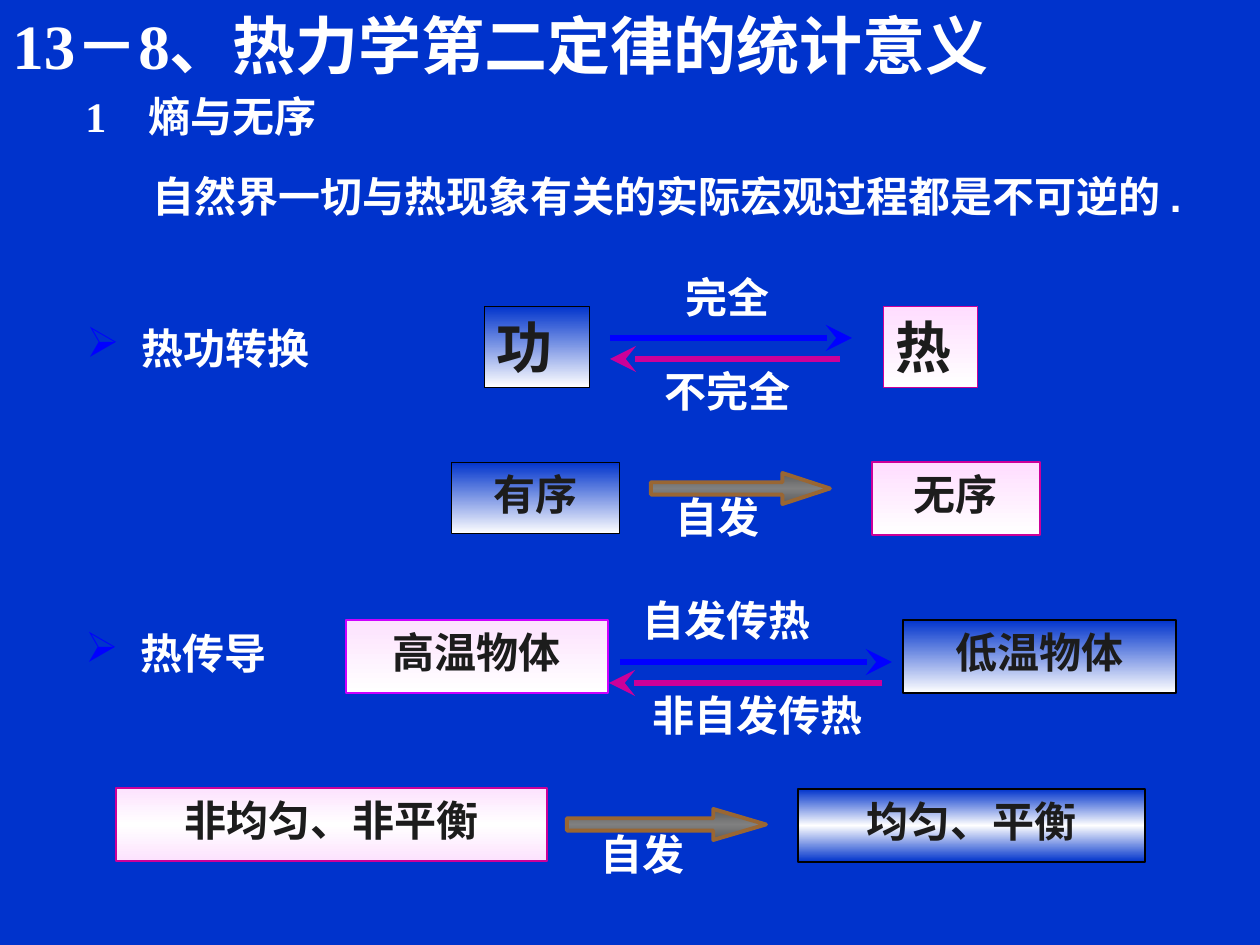
from lxml.etree import SubElement
from copy import deepcopy
from pptx import Presentation
from pptx.dml.color import RGBColor
from pptx.enum.shapes import MSO_CONNECTOR, MSO_SHAPE
from pptx.enum.text import MSO_ANCHOR, PP_ALIGN
from pptx.oxml.ns import qn
from pptx.util import Pt

PX = 914400 / 126


class Theme:
    background = "0033CC"
    white = "FFFFFF"
    ink = "1C1C1C"
    black = "000000"
    blue = "0000FF"
    magenta = "CC0099"
    violet = "CC00FF"
    bronze = "996633"
    pink_fade = ["FFDDFF", "FFFFFF"]
    rose_fade = ["FDE2FE", "FFFFFF"]
    rose_band = ["FDE2FE", "FFFFFF", "FDE2FE"]
    blue_fade = ["0033CC", "FFFFFF"]
    blue_band = ["0033CC", "FFFFFF", "0033CC"]
    gray_band = ["5C5C5C", "808080", "5C5C5C"]
    sans = "Arial"
    serif = "Times New Roman"
    title = 36
    large = 32
    body = 24


def paint(shape, colors, outline, width):
    shape.shadow.inherit = False
    shape.fill.gradient()
    shape.fill.gradient_angle = 270
    stop_list = shape._element.spPr.find(qn("a:gradFill")).find(qn("a:gsLst"))
    for _ in colors[2:]:
        stop_list.append(deepcopy(stop_list[-1]))
    for index, stop in enumerate(shape.fill.gradient_stops):
        stop.position = index / (len(colors) - 1)
        stop.color.rgb = RGBColor.from_string(colors[index])
    shape.line.color.rgb = RGBColor.from_string(outline)
    shape.line.width = Pt(width)


def add_text(text, box, size=Theme.body, font=Theme.sans, color=Theme.white,
             align=PP_ALIGN.LEFT, fade=None, outline=None, width=0.75,
             bullet=False, indent=0, tab=0):
    frame = [round(value * PX) for value in box]
    if fade:
        shape = slide.shapes.add_shape(MSO_SHAPE.RECTANGLE, *frame)
        paint(shape, fade, outline, width)
    else:
        shape = slide.shapes.add_textbox(*frame)
    shape.text_frame.word_wrap = True
    shape.text_frame.vertical_anchor = MSO_ANCHOR.TOP
    paragraph = shape.text_frame.paragraphs[0]
    paragraph.alignment = align
    run = paragraph.add_run()
    run.text = text
    run.font.size = Pt(size)
    run.font.name = font
    run.font.bold = True
    run.font.color.rgb = RGBColor.from_string(color)
    properties = paragraph._p.get_or_add_pPr()
    properties.set("indent", str(round(indent * PX)))
    if bullet:
        properties.set("marL", str(round(-indent * PX)))
        bullet_color = SubElement(properties, qn("a:buClr"))
        SubElement(bullet_color, qn("a:srgbClr"), val=Theme.blue)
        SubElement(properties, qn("a:buChar"), char="➢")
    if tab:
        tabs = SubElement(properties, qn("a:tabLst"))
        SubElement(tabs, qn("a:tab"), pos=str(round(tab * PX)), algn="l")


presentation = Presentation()
presentation.slide_width = round(1260 * PX)
presentation.slide_height = round(945 * PX)
slide = presentation.slides.add_slide(presentation.slide_layouts[6])
slide.background.fill.solid()
slide.background.fill.fore_color.rgb = RGBColor.from_string(Theme.background)

add_text("13－8、热力学第二定律的统计意义", (0, 0, 1302, 88),
         size=Theme.title, font=Theme.serif, align=PP_ALIGN.JUSTIFY)
add_text("1\t熵与无序", (73, 84, 630, 63), font=Theme.serif, tab=61)
add_text("自然界一切与热现象有关的实际宏观过程都是不可逆的 .",
         (73, 164, 1144, 63), indent=67)

for text, box in [("热功转换", (74, 316, 651, 64)),
                  ("热传导", (73, 621, 420, 64))]:
    add_text(text, box, bullet=True, indent=-55)

for text, box, fade, outline in [
    ("功", (484, 306, 105, 81), Theme.blue_fade, Theme.black),
    ("热", (883, 306, 95, 81), Theme.pink_fade, Theme.magenta),
]:
    add_text(text, box, size=Theme.large, color=Theme.ink,
             fade=fade, outline=outline, width=0.5)

for text, box, fade, outline, width in [
    ("有序", (451, 462, 168, 72), Theme.blue_fade, Theme.black, 0.5),
    ("无序", (872, 462, 168, 73), Theme.pink_fade, Theme.magenta, 0.75),
    ("高温物体", (346, 620, 262, 73), Theme.rose_fade, Theme.violet, 0.75),
    ("低温物体", (903, 620, 273, 73), Theme.blue_fade, Theme.black, 0.75),
    ("非均匀、非平衡", (116, 788, 431, 73), Theme.rose_band, Theme.magenta, 0.75),
    ("均匀、平衡", (798, 789, 347, 73), Theme.blue_band, Theme.black, 0.75),
]:
    add_text(text, box, color=Theme.ink, align=PP_ALIGN.CENTER,
             fade=fade, outline=outline, width=width)

for start, end, y, color in [
    (610, 852, 338, Theme.blue),
    (840, 610, 359, Theme.magenta),
    (620, 892, 662, Theme.blue),
    (882, 609, 683, Theme.magenta),
]:
    connector = slide.shapes.add_connector(
        MSO_CONNECTOR.STRAIGHT, *[round(value * PX) for value in (start, y, end, y)])
    connector.line.color.rgb = RGBColor.from_string(color)
    connector.line.width = Pt(3)
    SubElement(connector.line._get_or_add_ln(), qn("a:tailEnd"),
               type="stealth", w="lg", len="lg")
    SubElement(connector._element.spPr, qn("a:effectLst"))

for left, top, width, head_length in [(651, 473, 179, 1.53), (567, 809, 199, 1.7)]:
    arrow = slide.shapes.add_shape(
        MSO_SHAPE.RIGHT_ARROW, *[round(value * PX) for value in (left, top, width, 31)])
    arrow.adjustments[0] = 0.4
    arrow.adjustments[1] = head_length
    paint(arrow, Theme.gray_band, Theme.bronze, 2.25)

for text, box in [
    ("完全", (673, 265, 189, 64)),
    ("不完全", (652, 359, 189, 64)),
    ("自发", (663, 485, 178, 64)),
    ("自发传热", (630, 588, 294, 64)),
    ("非自发传热", (640, 683, 284, 64)),
    ("自发", (588, 822, 252, 64)),
]:
    add_text(text, box)

presentation.save("out.pptx")
